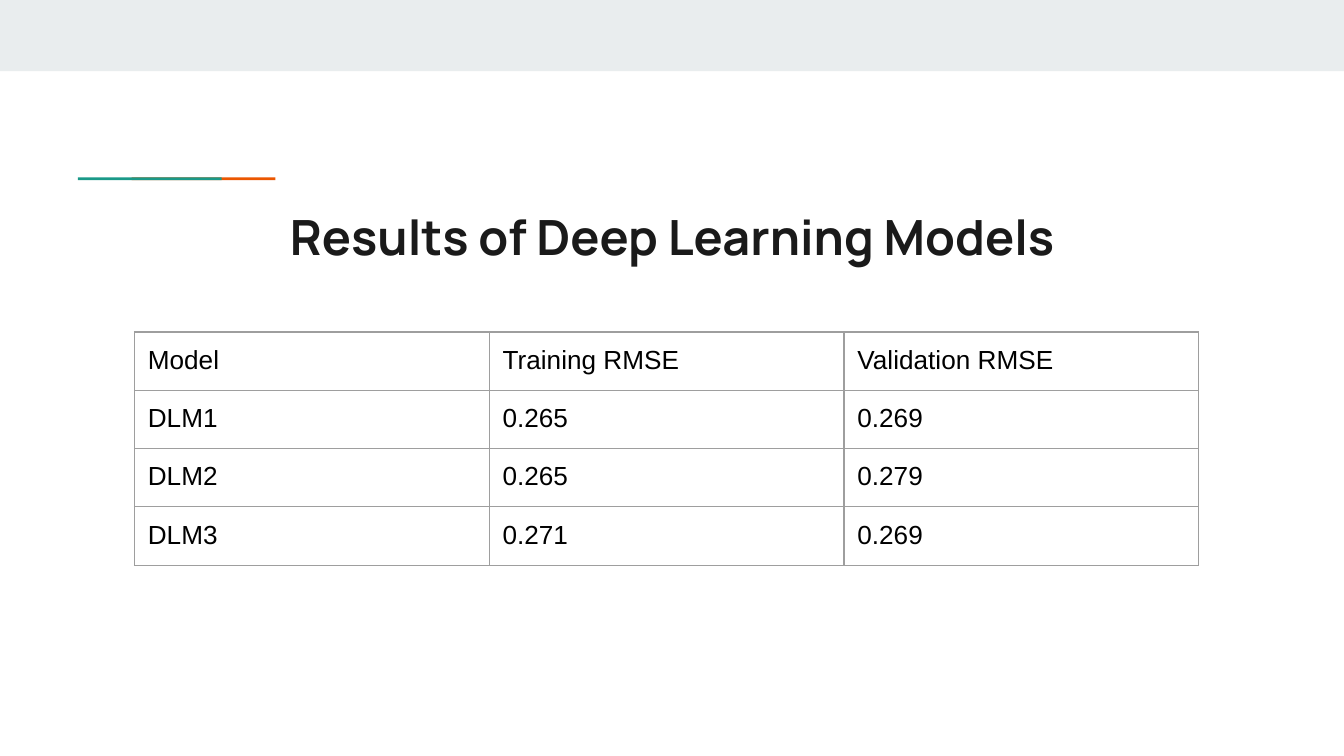
from dataclasses import dataclass

from pptx import Presentation
from pptx import util as u
from pptx.dml.color import RGBColor
from pptx.enum import shapes, text
from pptx.oxml import parse_xml
from pptx.oxml.ns import nsdecls


@dataclass(frozen=True)
class Theme:
    band: str = "E9EDEE"
    orange: str = "EB5600"
    green: str = "1A9988"
    title: str = "1A1A1A"
    body: str = "000000"
    grid: str = "9E9E9E"
    head_font: str = "Manrope"
    body_font: str = "Arial"
    head_size: float = 26
    body_size: float = 14
    rule: float = 0.75


@dataclass(frozen=True)
class Bar:
    left: float
    top: float
    width: float
    height: float
    fill: str


THEME = Theme()
WIDE = 10
# The green bar overlaps the left part of the orange one
BARS = [
    Bar(0, 0, WIDE, 0.53, THEME.band),
    Bar(0.98, 1.32, 1.07, 0.02, THEME.orange),
    Bar(0.58, 1.32, 1.07, 0.02, THEME.green),
]
ROWS = [
    ("Model", "Training RMSE", "Validation RMSE"),
    ("DLM1", "0.265", "0.269"),
    ("DLM2", "0.265", "0.279"),
    ("DLM3", "0.271", "0.269"),
]
# Rows start low and grow to fit their text
COL, ROW, PAD = 2.64, 0.24, 0.1


def draw_bar(slide, bar: Bar) -> None:
    rect = slide.shapes.add_shape(
        shapes.MSO_SHAPE.RECTANGLE, u.Inches(bar.left), u.Inches(bar.top),
        u.Inches(bar.width), u.Inches(bar.height))
    rect.shadow.inherit = False
    rect.fill.solid()
    rect.fill.fore_color.rgb = RGBColor.from_string(bar.fill)
    rect.line.fill.background()


def add_run(para, words: str, font: str, size: float, color: str,
            bold: bool = False) -> None:
    run = para.add_run()
    run.text = words
    run.font.name = font
    run.font.size = u.Pt(size)
    run.font.bold = bold
    run.font.color.rgb = RGBColor.from_string(color)


def pad(box) -> None:
    box.margin_left = box.margin_right = u.Inches(PAD)
    box.margin_top = box.margin_bottom = u.Inches(PAD)


def draw_title(slide, words: str) -> None:
    box = slide.shapes.add_textbox(
        u.Inches(0.8), u.Inches(1.44), u.Inches(8.41), u.Inches(0.59))
    frame = box.text_frame
    frame.word_wrap = True
    pad(frame)
    para = frame.paragraphs[0]
    para.alignment = text.PP_ALIGN.CENTER
    add_run(para, words, THEME.head_font, THEME.head_size, THEME.title, True)


def set_edges(cell) -> None:
    props = cell._tc.get_or_add_tcPr()
    for i, side in enumerate(("lnL", "lnR", "lnT", "lnB")):
        props.insert(i, parse_xml(
            f'<a:{side} {nsdecls("a")} w="{u.Pt(THEME.rule)}"><a:solidFill>'
            f'<a:srgbClr val="{THEME.grid}"/></a:solidFill></a:{side}>'))


def draw_table(slide, rows: list[tuple[str, ...]]) -> None:
    count, width = len(rows), len(rows[0])
    table = slide.shapes.add_table(
        count, width, u.Inches(1), u.Inches(2.47),
        u.Inches(COL * width), u.Inches(ROW * count)).table
    table.first_row = table.horz_banding = False
    for col in table.columns:
        col.width = u.Inches(COL)
    for r, row in enumerate(rows):
        table.rows[r].height = u.Inches(ROW)
        for c, words in enumerate(row):
            cell = table.cell(r, c)
            pad(cell)
            cell.fill.background()
            set_edges(cell)
            add_run(cell.text_frame.paragraphs[0], words,
                    THEME.body_font, THEME.body_size, THEME.body)


def main() -> None:
    # Widescreen page, 16 to 9
    deck = Presentation()
    deck.slide_width = u.Inches(WIDE)
    deck.slide_height = u.Inches(WIDE * 9 / 16)
    slide = deck.slides.add_slide(deck.slide_layouts[6])

    # Top band and accent line
    for bar in BARS:
        draw_bar(slide, bar)

    # Title and results
    draw_title(slide, "Results of Deep Learning Models")
    draw_table(slide, ROWS)

    deck.save("out.pptx")


if __name__ == "__main__":
    main()
